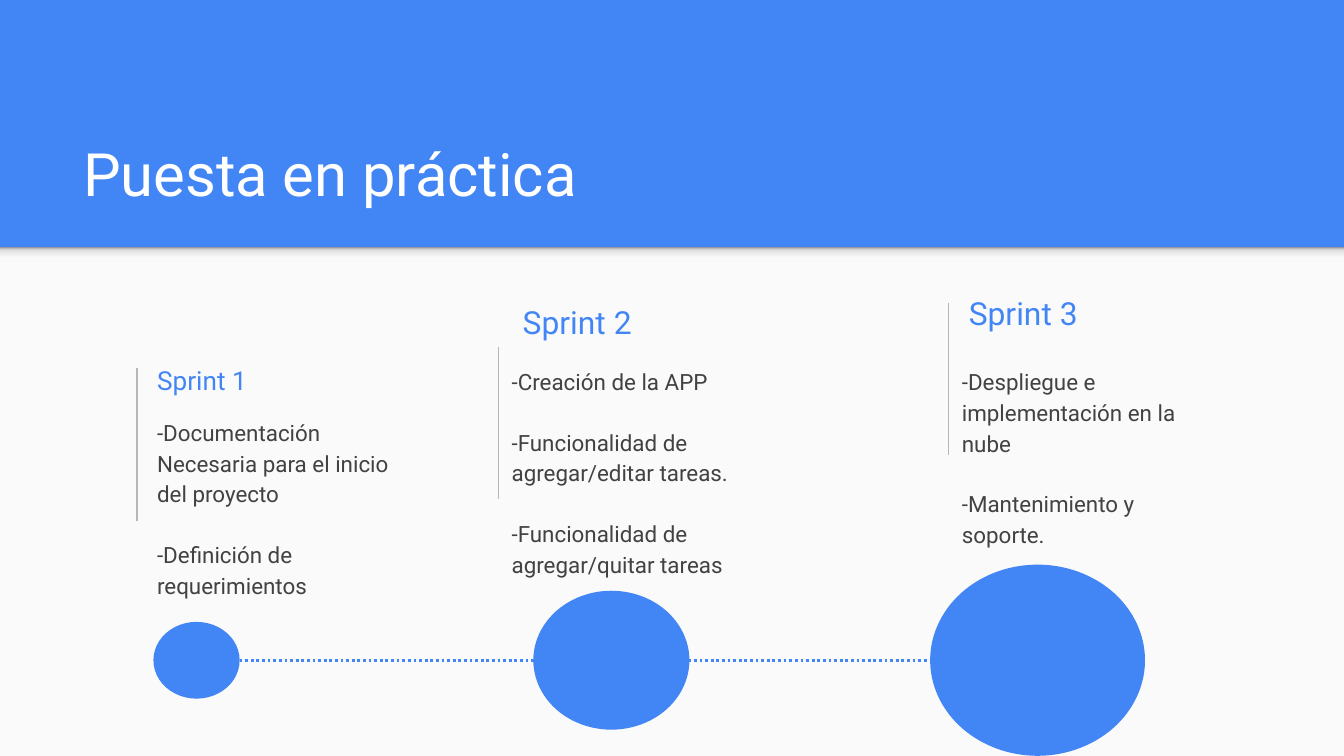
from collections import namedtuple

from lxml.etree import SubElement
from pptx import Presentation
from pptx.dml.color import RGBColor
from pptx.enum.dml import MSO_LINE_DASH_STYLE as Dash
from pptx.enum.shapes import MSO_CONNECTOR as Conn, MSO_SHAPE as Shape
from pptx.enum.text import MSO_ANCHOR as Anchor
from pptx.oxml.ns import qn
from pptx.util import Cm, Pt

BLUE = RGBColor(0x42, 0x85, 0xF4)
PAPER = RGBColor(0xFA, 0xFA, 0xFA)
WHITE = RGBColor(0xFF, 0xFF, 0xFF)
INK = RGBColor(0x42, 0x42, 0x42)
RULE_GRAY = RGBColor(0xB7, 0xB7, 0xB7)
SHADOW_STOPS = [
    (0, RGBColor(0xF9, 0xF9, 0xF9)),
    (36, RGBColor(0xF9, 0xF9, 0xF9)),
    (80, RGBColor(0xDE, 0xDE, 0xDE)),
    (100, RGBColor(0x99, 0x99, 0x99)),
]
WIDTH, HEIGHT = 25.4, 14.29
BAND_HEIGHT = 4.67
COLUMN_WIDTH, HEADING_HEIGHT, BODY_HEIGHT = 5.03, 1.09, 1.6
RULE_LENGTH = 2.88
AXIS_Y = 12.48
CIRCLE_RATIO = 0.89

Sprint = namedtuple("Sprint", "heading size heading_at rule_at body_at items circle_left circle_width")
SPRINTS = [
    Sprint("Sprint 1", 14, (2.72, 6.63), (2.59, 6.96), (2.72, 7.59),
           ["-Documentación Necesaria para el inicio del proyecto",
            "-Definición de requerimientos"], 2.9, 1.63),
    Sprint("Sprint 2", 17, (9.63, 5.54), (9.42, 6.55), (9.42, 6.63),
           ["-Creación de la APP",
            "-Funcionalidad de agregar/editar tareas.",
            "-Funcionalidad de agregar/quitar tareas"], 10.08, 2.95),
    Sprint("Sprint 3", 17, (18.06, 5.36), (17.93, 5.72), (17.93, 6.63),
           ["-Despliegue e implementación en la nube",
            "-Mantenimiento y soporte."], 17.58, 4.06),
]


def apply_format(target, values):
    """Set each attribute named in values on target."""
    for name, value in values.items():
        setattr(target, name, value)


def add_plain(slide, kind, box, color):
    """Add a filled shape without outline or shadow."""
    shape = slide.shapes.add_shape(kind, *map(Cm, box))
    shape.shadow.inherit = False
    shape.fill.solid()
    shape.fill.fore_color.rgb = color
    shape.line.fill.background()
    return shape


def add_line(slide, start, end, color, weight, dash=None):
    """Add a straight line without shadow."""
    line = slide.shapes.add_connector(Conn.STRAIGHT, *map(Cm, start + end))
    line.line.color.rgb = color
    apply_format(line.line, {"width": Pt(weight), "dash_style": dash})
    SubElement(line._element.spPr, qn("a:effectLst"))


def add_text(slide, box, paragraphs, size, color, anchor, spacing=1.0):
    """Add a wrapped text box, with a gap between its paragraphs."""
    frame = slide.shapes.add_textbox(*map(Cm, box)).text_frame
    sides = ("left", "top", "right", "bottom")
    margins = {f"margin_{side}": Cm(0.25) for side in sides}
    apply_format(frame, {"word_wrap": True, "vertical_anchor": anchor, **margins})
    for index, text in enumerate(paragraphs):
        paragraph = frame.paragraphs[0] if index == 0 else frame.add_paragraph()
        paragraph.line_spacing = spacing
        if index:
            paragraph.space_before = Pt(16)
        run = paragraph.add_run()
        run.text = text
        apply_format(run.font, {"name": "Roboto", "size": Pt(size)})
        run.font.color.rgb = color


def add_band_shadow(slide, box):
    """Add the strip that fades from dark at its top to paper."""
    strip = add_plain(slide, Shape.RECTANGLE, box, PAPER)
    strip.fill.gradient()
    strip.fill.gradient_angle = 90
    stops = strip._element.spPr.find(qn("a:gradFill")).find(qn("a:gsLst"))
    for stop in list(stops):
        stops.remove(stop)
    for percent, color in SHADOW_STOPS:
        stop = SubElement(stops, qn("a:gs"), pos=str(percent * 1000))
        SubElement(stop, qn("a:srgbClr"), val=str(color))


def add_header(slide, box):
    """Place the title, and the paper that starts below the header box."""
    left, top, width, height = box
    bottom = top + height
    add_plain(slide, Shape.RECTANGLE, (left, bottom, width, HEIGHT - bottom), PAPER)
    add_band_shadow(slide, (left, bottom, width, 0.3))
    add_text(slide, (left + 1.32, bottom - 2.61, width - 2.57, 2.13),
             ["Puesta en práctica"], 32, WHITE, Anchor.BOTTOM)


def add_sprint(slide, sprint):
    """Place the rule, heading and tasks of one sprint."""
    x, y = sprint.rule_at
    add_line(slide, (x, y), (x, y + RULE_LENGTH), RULE_GRAY, 0.75)
    add_text(slide, (*sprint.heading_at, COLUMN_WIDTH, HEADING_HEIGHT),
             [sprint.heading], sprint.size, BLUE, Anchor.MIDDLE)
    add_text(slide, (*sprint.body_at, COLUMN_WIDTH, BODY_HEIGHT),
             sprint.items, 12, INK, Anchor.TOP, 1.15)


def add_timeline(slide, sprints, axis_y):
    """Place the growing circles on a dotted line at axis_y."""
    start = sprints[0].circle_left + sprints[0].circle_width
    add_line(slide, (start, axis_y), (sprints[-1].circle_left, axis_y),
             BLUE, 1.5, Dash.ROUND_DOT)
    for sprint in sprints:
        height = sprint.circle_width * CIRCLE_RATIO
        box = (sprint.circle_left, axis_y - height / 2, sprint.circle_width, height)
        add_plain(slide, Shape.OVAL, box, BLUE)


def main():
    """Build and save the slide."""
    deck = Presentation()
    apply_format(deck, {"slide_width": Cm(WIDTH), "slide_height": Cm(HEIGHT)})
    slide = deck.slides.add_slide(deck.slide_layouts[6])
    slide.background.fill.solid()
    slide.background.fill.fore_color.rgb = BLUE
    add_header(slide, (0, 0, WIDTH, BAND_HEIGHT))
    for sprint in SPRINTS:
        add_sprint(slide, sprint)
    add_timeline(slide, SPRINTS, AXIS_Y)
    deck.save("out.pptx")


if __name__ == "__main__":
    main()
